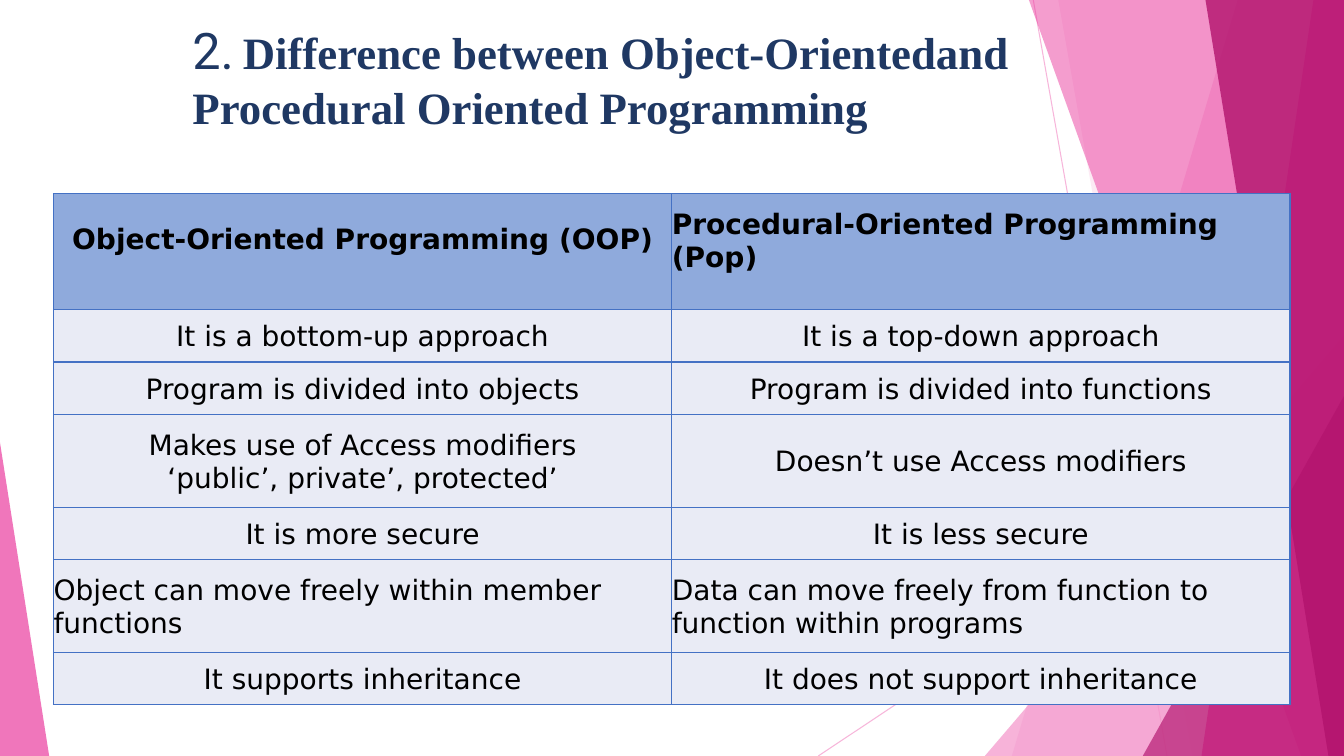
from lxml import etree
from pptx import Presentation
from pptx.dml.color import RGBColor
from pptx.enum import shapes, text
from pptx.oxml import ns
from pptx.util import Cm, Pt

NAVY = RGBColor(0x1F, 0x38, 0x63)
BLACK = RGBColor(0, 0, 0)
HEADER_BLUE = RGBColor(0x8F, 0xAA, 0xDC)
BODY_BLUE = RGBColor(0xE9, 0xEB, 0xF5)
BORDER_BLUE = RGBColor(0x44, 0x71, 0xC4)
LIGHT_PINK = RGBColor(0xF4, 0x96, 0xCB)
PINK = RGBColor(0xEB, 0x3D, 0x9F)
MAGENTA = RGBColor(0xB2, 0x13, 0x6D)
RIGHT, BOTTOM = 33.87, 19.05
LEFT, CENTER = text.PP_ALIGN.LEFT, text.PP_ALIGN.CENTER


def set_alpha(fill_owner, percent):
    """Make the solid colour in an element's first srgbClr partly transparent."""
    color = next(fill_owner.iter(ns.qn("a:srgbClr")))
    etree.SubElement(color, ns.qn("a:alpha"), val=str(percent * 1000))


def set_format(target, values):
    for name, value in values.items():
        setattr(target, name, value)


presentation = Presentation()
presentation.slide_width, presentation.slide_height = Cm(RIGHT), Cm(BOTTOM)
slide = presentation.slides.add_slide(presentation.slide_layouts[5])

# Decorative lines and facets
for x1, y1, x2, y2 in [(26.04, 0, 29.41, BOTTOM), (RIGHT, 10.24, 20.62, BOTTOM)]:
    line = slide.shapes.add_connector(
        shapes.MSO_CONNECTOR.STRAIGHT, Cm(x1), Cm(y1), Cm(x2), Cm(y2))
    line.line.color.rgb = LIGHT_PINK
    line.line.width = Pt(0.75)
    properties = line._element.spPr
    set_alpha(properties, 70)
    etree.SubElement(properties, ns.qn("a:effectLst"))

right_edge = [(RIGHT, 0), (RIGHT, BOTTOM)]
facets = [
    ([(31.19, 0), *right_edge, (25.5, BOTTOM)], LIGHT_PINK, 36),
    ([(26.67, 0), *right_edge, (30.05, BOTTOM)], LIGHT_PINK, 20),
    ([(RIGHT, 8.46), (RIGHT, BOTTOM), (24.82, BOTTOM)], LIGHT_PINK, 72),
    ([(25.93, 0), *right_edge, (32.79, BOTTOM)], PINK, 50),
    ([(33.1, 0), *right_edge, (30.28, BOTTOM)], PINK, 70),
    ([(30.38, 0), *right_edge, (33.48, BOTTOM)], MAGENTA, 80),
    ([(RIGHT, 9.98), (RIGHT, BOTTOM), (28.8, BOTTOM)], MAGENTA, 66),
    ([(0, 11.15), (0, BOTTOM), (1.24, BOTTOM)], PINK, 70),
]
for points, color, opacity in facets:
    corners = [(Cm(x), Cm(y)) for x, y in points]
    builder = slide.shapes.build_freeform(*corners[0])
    builder.add_line_segments(corners[1:], close=True)
    facet = builder.convert_to_shape()
    facet.shadow.inherit = False
    facet.fill.solid()
    facet.fill.fore_color.rgb = color
    facet.line.fill.background()
    set_alpha(facet._element.spPr, opacity)

# Title, brought in front of the facets
title = slide.shapes.title
slide.shapes._spTree.append(title._element)
set_format(title, {"left": Cm(4.85), "top": Cm(0.46), "width": Cm(24.18), "height": Cm(2.95)})
set_format(title.text_frame, {
    "margin_left": 0, "margin_top": Cm(0.03), "margin_right": 0, "margin_bottom": 0,
    "word_wrap": True, "auto_size": text.MSO_AUTO_SIZE.NONE,
    "vertical_anchor": text.MSO_ANCHOR.TOP})
paragraph = title.text_frame.paragraphs[0]
paragraph.alignment = LEFT
set_format(paragraph._p.get_or_add_pPr(), {"marL": Cm(3.35), "indent": Cm(-3.3)})
for words, size, font, bold in [
        ("2.\t", 36, "Roboto", False),
        ("Difference between Object-Orientedand Procedural Oriented Programming",
         32, "Times New Roman", True)]:
    run = paragraph.add_run()
    run.text = words
    set_format(run.font, {"size": Pt(size), "name": font, "bold": bold})
    run.font.color.rgb = NAVY

# Comparison table: row height, then wording and top margin of both cells
rows = [
    (2.92, ("Object-Oriented Programming (OOP)", 0.76),
     ("Procedural-Oriented Programming (Pop)", 0.38)),
    (1.32, ("It is a bottom-up approach", 0.28), ("It is a top-down approach", 0.28)),
    (1.32, ("Program is divided into objects", 0.28),
     ("Program is divided into functions", 0.28)),
    (2.34, ("Makes use of Access modifiers\n‘public’, private’, protected’", 0.38),
     ("Doesn’t use Access modifiers", 0.79)),
    (1.32, ("It is more secure", 0.28), ("It is less secure", 0.28)),
    (2.34, ("Object can move freely within member functions", 0.38),
     ("Data can move freely from function to function within programs", 0.38)),
    (1.32, ("It supports inheritance", 0.28), ("It does not support inheritance", 0.28)),
]
# Cells with a hanging indent: left margin, indent, right cell margin
hanging = {(0, 1): (6.6, -5.74, 1.5), (5, 0): (6.12, -5.28, 0), (5, 1): (3.3, -2.34, 0)}

table = slide.shapes.add_table(
    len(rows), 2, Cm(1.35), Cm(4.88), Cm(31.16), Cm(sum(row[0] for row in rows))).table
for column in table.columns:
    column.width = Cm(15.58)
for row_index, (height, *cells) in enumerate(rows):
    table.rows[row_index].height = Cm(height)
    for column_index, (words, top) in enumerate(cells):
        cell = table.cell(row_index, column_index)
        margin, indent, right = hanging.get((row_index, column_index), (0, 0, 0))
        set_format(cell, {
            "text": words, "margin_left": 0, "margin_top": Cm(top),
            "margin_right": Cm(right), "margin_bottom": 0,
            "vertical_anchor": text.MSO_ANCHOR.TOP})
        for paragraph in cell.text_frame.paragraphs:
            paragraph.alignment = LEFT if margin else CENTER
            set_format(paragraph._p.get_or_add_pPr(), {"marL": Cm(margin), "indent": Cm(indent)})
            font = paragraph.runs[0].font
            set_format(font, {"size": Pt(20), "name": "DejaVu Sans", "bold": row_index == 0})
            font.color.rgb = BLACK
        cell_properties = cell._tc.get_or_add_tcPr()
        for side in ("lnL", "lnR", "lnT", "lnB"):
            border = etree.SubElement(cell_properties, ns.qn("a:" + side), w=str(Pt(1)))
            solid = etree.SubElement(border, ns.qn("a:solidFill"))
            etree.SubElement(solid, ns.qn("a:srgbClr"), val=str(BORDER_BLUE))
        cell.fill.solid()
        cell.fill.fore_color.rgb = BODY_BLUE if row_index else HEADER_BLUE

presentation.save("out.pptx")
